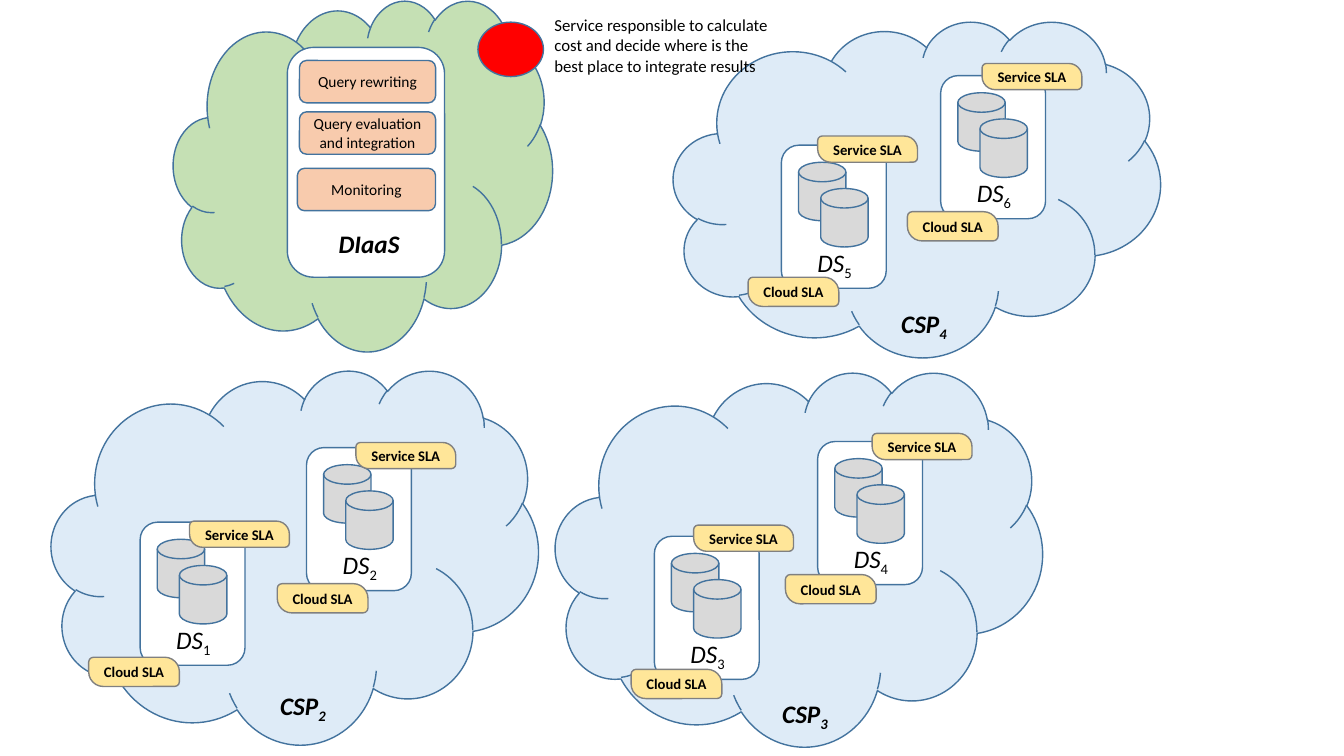
from pptx import Presentation
from pptx.dml.color import RGBColor
from pptx.enum.shapes import MSO_SHAPE
from pptx.enum.text import MSO_ANCHOR, MSO_AUTO_SIZE, PP_ALIGN
from pptx.util import Inches, Pt

COLORS = {
    "blue": "DEEBF7", "green": "C5E0B4", "white": "FFFFFF", "gray": "D9D9D9",
    "yellow": "FFE699", "orange": "F8CBAD", "red": "FF0000",
    "outline": "43739E", "tag_outline": "808080", "text": "000000",
}
NAME = {"size": Pt(18), "italic": True}
BOLD_NAME = {**NAME, "bold": True}
TAG = {"size": Pt(10.5), "bold": True}
STEP = {"size": Pt(11)}
NOTE = {"size": Pt(12)}


class Diagram:
    def __init__(self, slide):
        self.s = slide
        self.font = "Calibri"

    def color(self, name):
        return RGBColor.from_string(COLORS[name])

    def run(self, p, text, style):
        r = p.add_run()
        r.text = text
        for key, value in {"name": self.font, **style}.items():
            setattr(r.font, key, value)
        r.font.color.rgb = self.color("text")
        return r

    def shape(self, kind, x, y, w, h, fill, line="outline"):
        sp = self.s.shapes.add_shape(kind, Inches(x), Inches(y), Inches(w), Inches(h))
        sp.shadow.inherit = False
        sp.fill.solid()
        sp.fill.fore_color.rgb = self.color(fill)
        sp.line.color.rgb = self.color(line)
        sp.line.width = Pt(1)
        return sp

    def caption(self, sp, text, style, wrap=True):
        tf = sp.text_frame
        for key, value in {"word_wrap": wrap, "vertical_anchor": MSO_ANCHOR.MIDDLE}.items():
            setattr(tf, key, value)
        p = tf.paragraphs[0]
        p.alignment = PP_ALIGN.CENTER
        self.run(p, text, style)

    def label(self, x, y, w, h, text, style, sub="", sub_style=None, wrap=False):
        tf = self.s.shapes.add_textbox(Inches(x), Inches(y), Inches(w), Inches(h)).text_frame
        for key, value in {"word_wrap": wrap, "auto_size": MSO_AUTO_SIZE.SHAPE_TO_FIT_TEXT}.items():
            setattr(tf, key, value)
        p = tf.paragraphs[0]
        self.run(p, text, style)
        if sub:
            r = self.run(p, sub, sub_style or style)
            r._r.get_or_add_rPr().set("baseline", "-25000")

    def tag(self, x, y, w, h, text):
        sp = self.shape(MSO_SHAPE.ROUND_2_DIAG_RECTANGLE, x, y, w, h, "yellow", "tag_outline")
        sp.adjustments[0], sp.adjustments[1] = 0.167, 0.5
        self.caption(sp, text, TAG, wrap=False)

    def data_service(self, number, x, y, cloud_sla, service_sla):
        self.shape(MSO_SHAPE.ROUNDED_RECTANGLE, x, y, 1.04, 1.42, "white")
        for dx, dy in ((0.17, 0.17), (0.39, 0.43)):
            self.shape(MSO_SHAPE.FLOWCHART_MAGNETIC_DISK, x + dx, y + dy, 0.47, 0.58, "gray")
        self.label(x + 0.26, y + 0.96, 0.56, 0.4, "DS", NAME, str(number), {"size": Pt(18)})
        self.tag(*cloud_sla, 0.9, 0.29, "Cloud SLA")
        self.tag(*service_sla, 0.99, 0.26, "Service SLA")


def main():
    prs = Presentation()
    prs.slide_width, prs.slide_height = Inches(13.33), Inches(7.5)
    d = Diagram(prs.slides.add_slide(prs.slide_layouts[6]))

    # Clouds
    for x, y, w, h, fill in (
        (0.51, 3.67, 4.83, 3.71, "blue"),
        (6.68, 0.21, 4.83, 3.33, "blue"),
        (5.51, 3.69, 4.83, 3.71, "blue"),
        (1.72, 0, 3.76, 3.48, "green"),
    ):
        d.shape(MSO_SHAPE.CLOUD, x, y, w, h, fill)

    # Integration service and its steps
    d.shape(MSO_SHAPE.ROUNDED_RECTANGLE, 2.85, 0.47, 1.56, 2.28, "white")
    d.label(3.26, 2.22, 0.81, 0.4, "DIaaS", BOLD_NAME)
    for x, y, w, text in (
        (2.97, 0.6, 1.35, "Query rewriting"),
        (2.97, 1.11, 1.35, "Query evaluation and integration"),
        (2.95, 1.67, 1.37, "Monitoring"),
    ):
        step = d.shape(MSO_SHAPE.ROUNDED_RECTANGLE, x, y, w, 0.42, "orange")
        d.caption(step, text, STEP)

    # Data services: corner, cloud SLA corner, service SLA corner
    services = (
        (1.39, 5.18, (0.88, 6.52), (1.88, 5.17)),
        (3.04, 4.44, (2.75, 5.79), (3.53, 4.39)),
        (6.49, 5.32, (6.26, 6.64), (6.88, 5.21)),
        (8.11, 4.38, (7.79, 5.7), (8.65, 4.3)),
        (7.75, 1.44, (7.42, 2.75), (8.11, 1.35)),
        (9.33, 0.75, (9, 2.1), (9.74, 0.63)),
    )
    for number, service in enumerate(services, 1):
        d.data_service(number, *service)

    # Provider names
    for number, x, y in ((2, 2.68, 6.8), (3, 7.66, 6.88), (4, 8.84, 3.01)):
        d.label(x, y, 0.67, 0.4, "CSP", BOLD_NAME, str(number))

    # Legend
    d.shape(MSO_SHAPE.OVAL, 4.74, 0.22, 0.65, 0.54, "red")
    d.label(5.4, 0.1, 2.36, 0.71,
            "Service responsible to calculate cost and decide where is the "
            "best place to integrate results", NOTE, wrap=True)

    prs.save("out.pptx")


if __name__ == "__main__":
    main()
